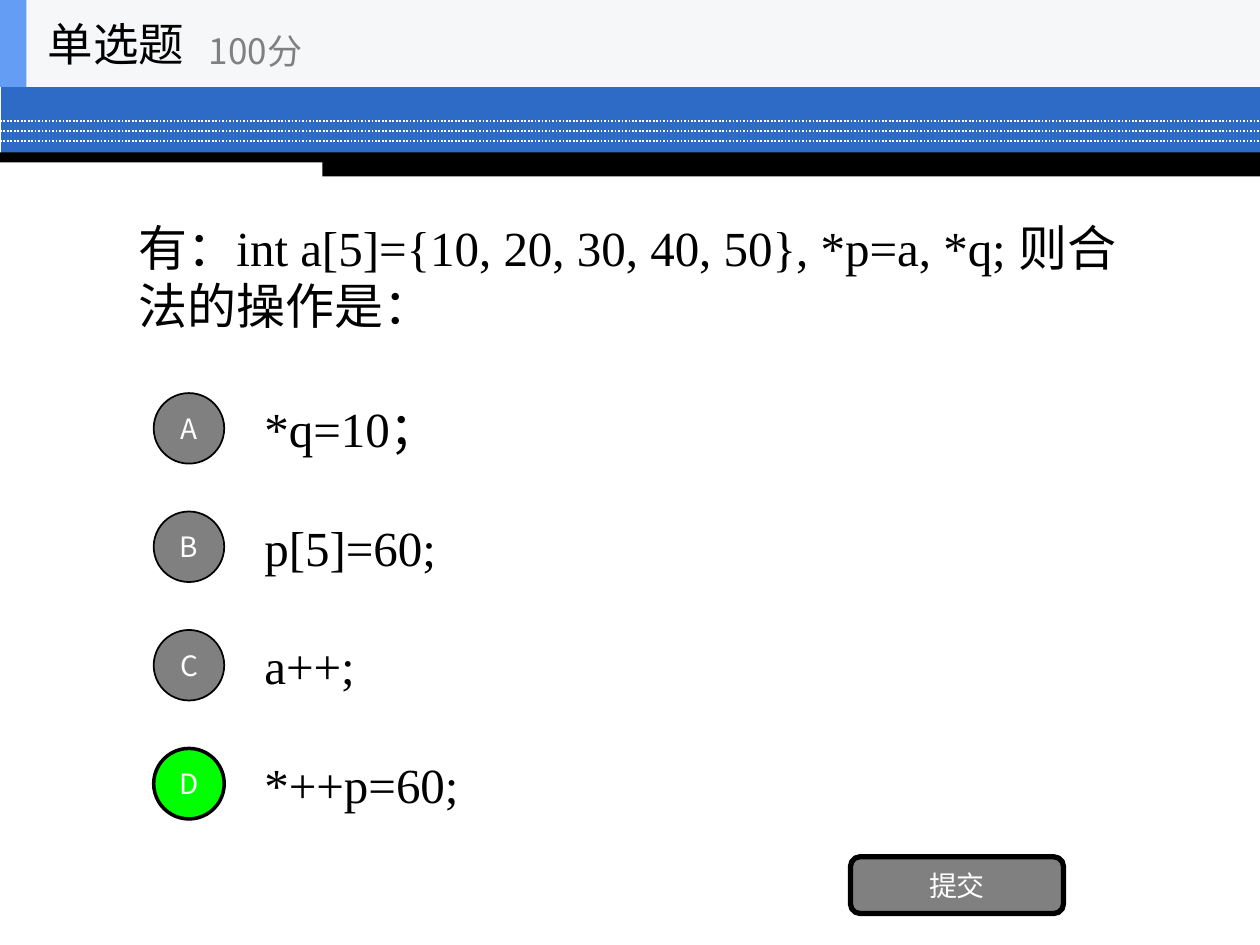
from lxml import etree
from pptx import Presentation
from pptx.dml.color import RGBColor
from pptx.enum.dml import MSO_LINE
from pptx.enum.shapes import MSO_CONNECTOR, MSO_SHAPE
from pptx.enum.text import MSO_ANCHOR, PP_ALIGN
from pptx.oxml.ns import qn
from pptx.util import Inches, Pt

RECT, OVAL, ROUNDED = MSO_SHAPE.RECTANGLE, MSO_SHAPE.OVAL, MSO_SHAPE.ROUNDED_RECTANGLE
STRAIGHT, DOTTED = MSO_CONNECTOR.STRAIGHT, MSO_LINE.ROUND_DOT
MIDDLE, LEFT, CENTER = MSO_ANCHOR.MIDDLE, PP_ALIGN.LEFT, PP_ALIGN.CENTER
TITLE_ONLY = 5


def color(hex_text):
    return RGBColor.from_string(hex_text)


class QuizSlide:
    """Holds the quiz style and draws each kind of element on the slide."""

    sans, serif = "Noto Sans CJK SC", "Times New Roman"
    black, white, gray = "000000", "FFFFFF", "808080"
    blue, accent, header, correct = "2D6BC7", "639EF4", "F6F7F8", "00FF00"

    def __init__(self, slide):
        self.slide = slide

    def fill_text(self, frame, text, size, font, ink, align=LEFT):
        frame.word_wrap = True
        frame.vertical_anchor = MIDDLE
        paragraph = frame.paragraphs[0]
        paragraph.alignment = align
        run = paragraph.add_run()
        run.text = text
        run.font.size = Pt(size)
        run.font.name = font
        run.font.color.rgb = color(ink)
        east_asian = etree.Element(qn("a:ea"), typeface=self.sans)
        run.font._element.find(qn("a:latin")).addnext(east_asian)

    def title(self, box, text):
        title = self.slide.shapes.title
        title.left, title.top, title.width, title.height = map(Inches, box)
        self.fill_text(title.text_frame, text, 28, self.serif, self.black)

    def text(self, box, text, size, font, ink):
        label = self.slide.shapes.add_textbox(*map(Inches, box))
        self.fill_text(label.text_frame, text, size, font, ink)

    def shape(self, kind, box, fill, border=0):
        shape = self.slide.shapes.add_shape(kind, *map(Inches, box))
        shape.shadow.inherit = False
        shape.fill.solid()
        shape.fill.fore_color.rgb = color(fill)
        if border:
            shape.line.color.rgb = color(self.black)
            shape.line.width = Pt(border)
        else:
            shape.line.fill.background()
        return shape

    def button(self, kind, box, text, fill, border):
        frame = self.shape(kind, box, fill, border).text_frame
        frame.margin_left = frame.margin_right = 0
        frame.margin_top = frame.margin_bottom = 0
        self.fill_text(frame, text, 16, self.sans, self.white, CENTER)

    def dotted_line(self, y):
        line = self.slide.shapes.add_connector(
            STRAIGHT, Inches(0), Inches(y), Inches(10), Inches(y))
        line.line.color.rgb = color(self.white)
        line.line.width = Pt(1)
        line.line.dash_style = DOTTED
        etree.SubElement(line._element.spPr, qn("a:effectLst"))


def main():
    deck = Presentation()
    deck.slide_width, deck.slide_height = Inches(10), Inches(7.5)
    quiz = QuizSlide(deck.slides.add_slide(deck.slide_layouts[TITLE_ONLY]))

    quiz.shape(RECT, (0.01, 0, 9.99, 1.23), quiz.blue)
    for y in (0.96, 1.04, 1.12):
        quiz.dotted_line(y)
    quiz.shape(RECT, (0, 1.21, 10, 0.08), quiz.black)
    quiz.shape(RECT, (2.56, 1.24, 7.44, 0.16), quiz.black)

    quiz.title((1, 1.26, 8, 1.86),
               "有：int a[5]={10, 20, 30, 40, 50}, *p=a, *q; 则合法的操作是：")

    options = [("A", "*q=10；"), ("B", "p[5]=60;"), ("C", "a++;"), ("D", "*++p=60;")]
    answer = "D"
    for row, (letter, operation) in enumerate(options):
        top = 3.05 + 0.94 * row
        fill, border = (quiz.correct, 2) if letter == answer else (quiz.gray, 1)
        quiz.text((2, top, 7, 0.7), operation, 28, quiz.serif, quiz.black)
        quiz.button(OVAL, (1.22, top + 0.07, 0.56, 0.56), letter, fill, border)
    quiz.button(ROUNDED, (6.75, 6.8, 1.69, 0.45), "提交", quiz.gray, 3)

    quiz.shape(RECT, (0, 0, 10, 0.69), quiz.header)
    quiz.shape(RECT, (0, 0, 0.21, 0.69), quiz.accent)
    quiz.text((0.28, 0, 2.08, 0.69), "单选题", 26, quiz.sans, quiz.black)
    quiz.text((1.56, 0.12, 2.5, 0.56), "100分", 20, quiz.sans, quiz.gray)

    deck.save("out.pptx")


if __name__ == "__main__":
    main()
